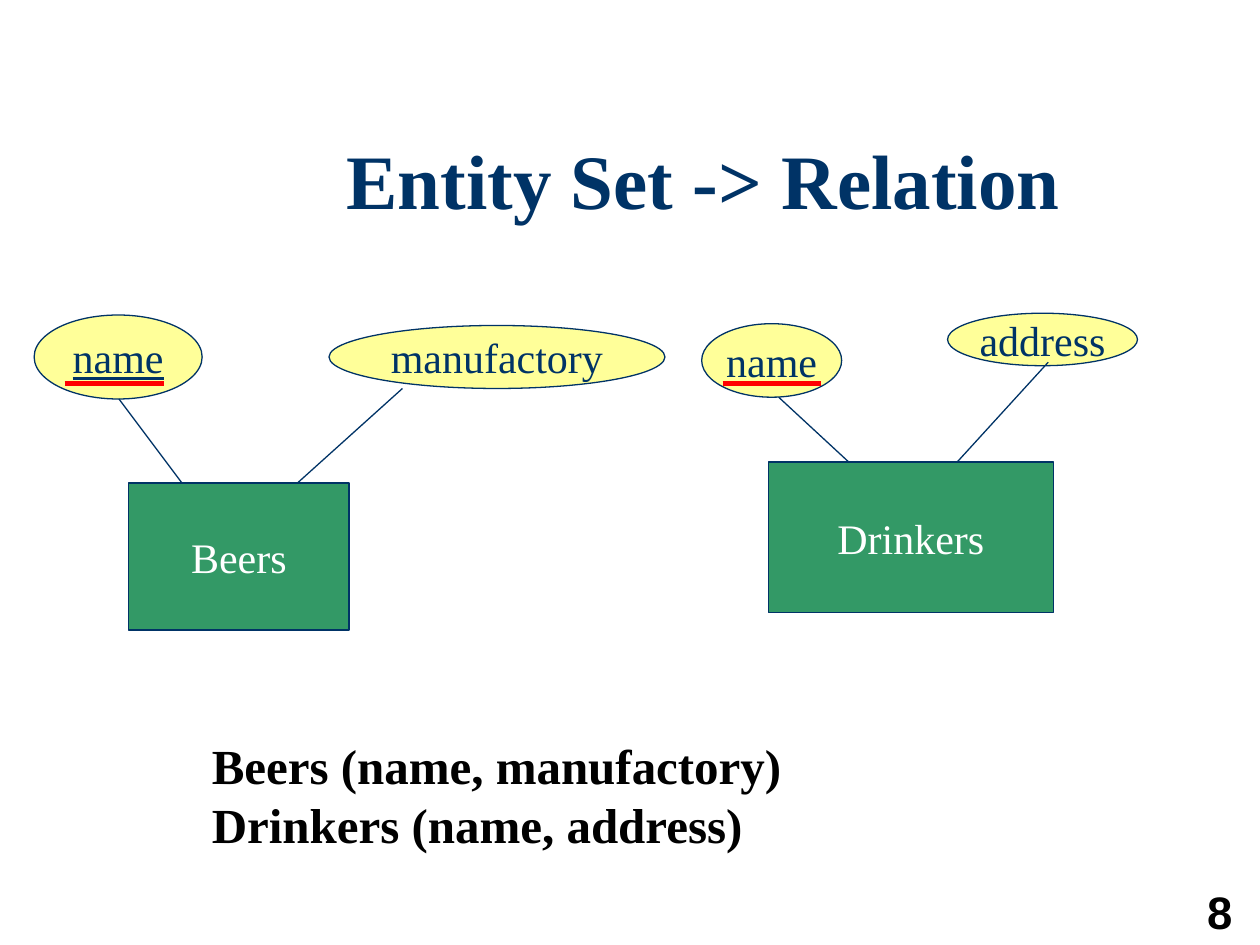
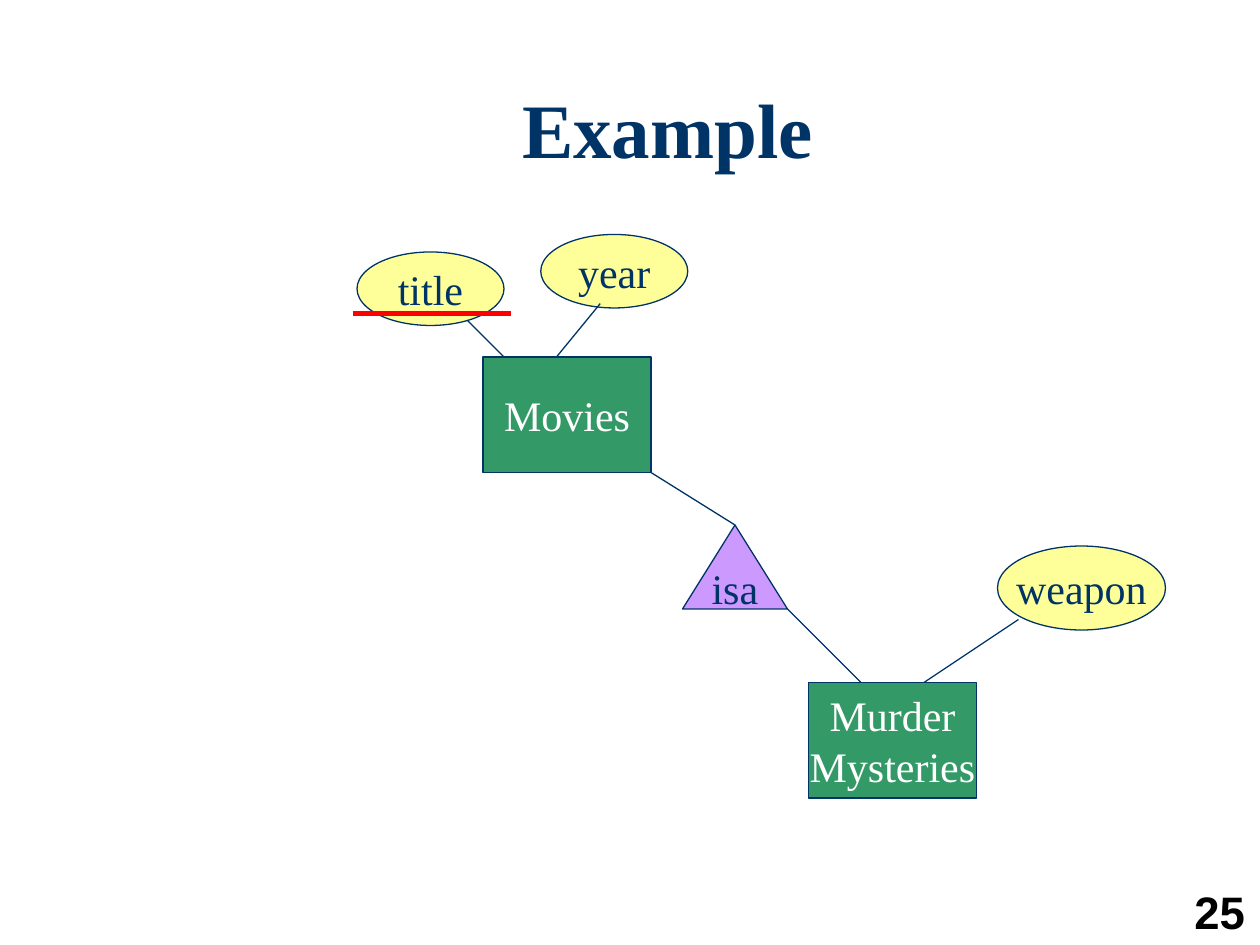
"""Builds two entity-relationship slides with a shared title, diagram and number style."""
from pptx import Presentation
from pptx.dml.color import RGBColor
from pptx.enum.shapes import MSO_CONNECTOR as CONNECTOR, MSO_SHAPE as SHAPE
from pptx.enum.text import MSO_ANCHOR as ANCHOR, PP_ALIGN as ALIGN
from pptx.oxml.ns import qn
from pptx.util import Pt

NAVY = RGBColor(0x00, 0x33, 0x66)
GREEN = RGBColor(0x33, 0x99, 0x66)
YELLOW = RGBColor(0xFF, 0xFF, 0x99)
VIOLET = RGBColor(0xCC, 0x99, 0xFF)
RED = RGBColor(0xFF, 0x00, 0x00)
WHITE = RGBColor(0xFF, 0xFF, 0xFF)
BLACK = RGBColor(0x00, 0x00, 0x00)
SERIF, SANS = "Times New Roman", "Arial"

STYLES = {
    "entity": (SHAPE.RECTANGLE, GREEN, WHITE, False),
    "attribute": (SHAPE.OVAL, YELLOW, NAVY, False),
    "key": (SHAPE.OVAL, YELLOW, NAVY, True),
    "isa": (SHAPE.ISOSCELES_TRIANGLE, VIOLET, NAVY, False),
}

SLIDES = [
    {
        "title": "Entity Set -> Relation",
        "title_at": (114, 78),
        "number": "8",
        "nodes": [
            ("entity", "Beers", (73.5, 276, 126, 84)),
            ("key", "name", (19.5, 180, 96, 48)),
            ("attribute", "manufactory", (188, 186, 192, 36)),
            ("entity", "Drinkers", (439, 264, 163, 86)),
            ("key", "name", (401, 185, 80, 42)),
            ("attribute", "address", (541.5, 179, 108.5, 30)),
        ],
        "links": [
            (68, 228, 104, 276),
            (230, 222, 170, 276),
            (445, 227, 485, 264),
            (599, 207, 547, 264),
        ],
        "key_marks": [(37, 219, 93.5, 219), (413, 219, 469, 219)],
        "relations": ["Beers (name, manufactory)", "Drinkers (name, address)"],
    },
    {
        "title": "Example",
        "title_at": (93.5, 49),
        "number": "25",
        "nodes": [
            ("entity", "Movies", (276, 204, 96, 66)),
            ("entity", "Murder\nMysteries", (462, 390, 96, 66)),
            ("isa", "isa", (390, 300, 60, 48)),
            ("attribute", "weapon", (570, 312, 96, 48)),
            ("attribute", "year", (309, 134, 84, 42)),
            ("attribute", "title", (204, 144, 84, 42)),
        ],
        "links": [
            (420, 300, 372, 270),
            (450, 348, 492, 390),
            (267, 183, 288, 204),
            (343, 173.5, 318, 204),
            (582, 354, 528, 390),
        ],
        "key_marks": [(201.5, 179, 292, 179)],
        "relations": [],
    },
]


def points(lengths):
    return [Pt(length) for length in lengths]


def write(frame, text, size, color, font=SERIF, bold=False, underline=False,
          align=ALIGN.LEFT, anchor=ANCHOR.TOP, wrap=True, spacing=1.0):
    frame.text = text
    frame.word_wrap = wrap
    frame.vertical_anchor = anchor
    for paragraph in frame.paragraphs:
        paragraph.alignment = align
        paragraph.line_spacing = spacing
        for run in paragraph.runs:
            run.font.name = font
            run.font.size = Pt(size)
            run.font.bold = bold
            run.font.underline = underline
            run.font.color.rgb = color


def add_text(slide, box, text, size, color, **style):
    frame = slide.shapes.add_textbox(*points(box)).text_frame
    write(frame, text, size, color, **style)
    return frame


def add_node(slide, kind, label, box):
    outline, fill, ink, underline = STYLES[kind]
    node = slide.shapes.add_shape(outline, *points(box))
    node.shadow.inherit = False
    node.fill.solid()
    node.fill.fore_color.rgb = fill
    node.line.color.rgb = NAVY
    node.line.width = Pt(0.75)
    write(node.text_frame, label, 24, ink, underline=underline,
          align=ALIGN.CENTER, anchor=ANCHOR.MIDDLE, wrap=False)


def add_line(slide, ends, color, width):
    line = slide.shapes.add_connector(CONNECTOR.STRAIGHT, *points(ends))
    line.line.color.rgb = color
    line.line.width = Pt(width)
    properties = line._element.spPr
    properties.append(properties.makeelement(qn("a:effectLst"), {}))


def add_relations(slide, relations):
    frame = add_text(slide, (114, 423, 576, 69), "\n".join(relations), 28, BLACK,
                     bold=True, spacing=0.8)
    for paragraph in frame.paragraphs:
        paragraph.space_before = Pt(7)


def build_slide(deck, content):
    slide = deck.slides.add_slide(deck.slide_layouts[6])
    add_text(slide, (674, 501, 46, 39), content["number"], 26, BLACK,
             font=SANS, bold=True, align=ALIGN.CENTER, anchor=ANCHOR.BOTTOM)
    add_text(slide, (*content["title_at"], 576, 66), content["title"], 44, NAVY,
             bold=True, align=ALIGN.CENTER, spacing=0.9)
    if content["relations"]:
        add_relations(slide, content["relations"])
    for node in content["nodes"]:
        add_node(slide, *node)
    for link in content["links"]:
        add_line(slide, link, NAVY, 0.75)
    for mark in content["key_marks"]:
        add_line(slide, mark, RED, 3)


def main():
    deck = Presentation()
    deck.slide_width, deck.slide_height = Pt(720), Pt(540)
    for content in SLIDES:
        build_slide(deck, content)
    deck.save("out.pptx")


if __name__ == "__main__":
    main()
